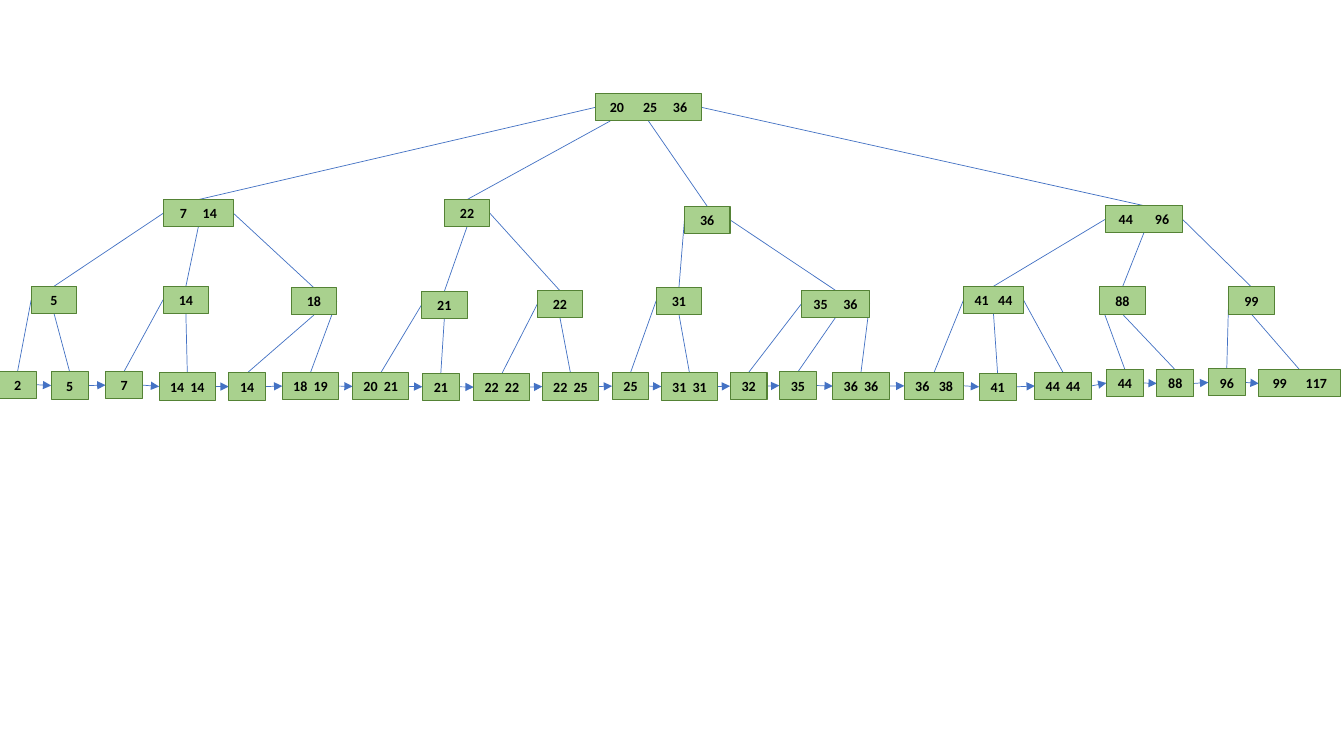
from dataclasses import dataclass
from itertools import pairwise

import lxml.etree
import pptx
import pptx.dml.color
import pptx.enum.shapes
import pptx.enum.text
import pptx.oxml.ns
import pptx.slide
import pptx.util

COLORS = {"node": "A9D18E", "border": "548235", "link": "4472C4", "key": "000000"}
KEY_FONT = {"name": "Calibri", "size": pptx.util.Pt(10), "bold": True}
BOX_HEIGHT = 19.4
SPACE_WIDTH = 2.26

# Widths of the usual boxes, in points
ONE_KEY, TWO_KEYS, INNER = 26.4, 40.2, 32.6

# Places on a box, as fractions of its width and height
TOP, LEFT, BOTTOM, RIGHT = (0.5, 0), (0, 0.5), (0.5, 1), (1, 0.5)
LOWER_LEFT = (0.14, 1)


@dataclass
class Node:
    keys: str
    left: float
    top: float
    width: float = ONE_KEY
    gaps: tuple[float, ...] = (4.5,)  # points between neighbouring keys
    branches: tuple[tuple[tuple[float, float], "Node"], ...] = ()

    def point(self, place: tuple[float, float]) -> tuple[float, float]:
        return self.left + place[0] * self.width, self.top + place[1] * BOX_HEIGHT


# Leaves, from left to right
LEAVES = [
    Node("2", -0.6, 265.1),
    Node("5", 36.6, 265.7),
    Node("7", 75.4, 265.4),
    Node("14 14", 113.7, 266.4, TWO_KEYS),
    Node("14", 163.4, 266.4),
    Node("18 19", 201.7, 266.1, TWO_KEYS),
    Node("20 21", 251.9, 266.3, TWO_KEYS),
    Node("21", 301.7, 266.6),
    Node("22 22", 338.4, 266.8, TWO_KEYS),
    Node("22 25", 387.4, 266.4, TWO_KEYS),
    Node("25", 437.2, 266.1),
    Node("31 31", 472.4, 266.4, TWO_KEYS),
    Node("32", 521.5, 266.1),
    Node("35", 556.7, 265.7),
    Node("36 36", 594.9, 266.1, TWO_KEYS),
    Node("36 38", 646, 265.9, 42.5, (6.8,)),
    Node("41", 699.4, 266.6),
    Node("44 44", 739.2, 266, TWO_KEYS),
    Node("44", 790.3, 263.9),
    Node("88", 826.3, 264.2),
    Node("96", 863.1, 263.5),
    Node("99 117", 899.1, 264.2, 58.6, (13.6,)),
]
next_leaf = iter(LEAVES)


def parent(keys: str, left: float, top: float, sides: tuple, width: float = INNER,
           gap: float = 4.5) -> Node:
    """A node whose branches lead to the next leaves in order."""
    branches = tuple((side, next(next_leaf)) for side in sides)
    return Node(keys, left, top, width, (gap,), branches)


# Lower inner level, grouped under the upper one
UNDER_7_14 = (
    (LEFT, parent("5", 22.3, 204.5, (LEFT, BOTTOM))),
    (BOTTOM, parent("14", 116.5, 204.5, (LEFT, BOTTOM))),
    (RIGHT, parent("18", 208, 205.6, (BOTTOM, RIGHT))),
)
UNDER_22 = (
    (BOTTOM, parent("21", 301.1, 208.1, (LEFT, BOTTOM))),
    (RIGHT, parent("22", 383.7, 207.7, (LEFT, BOTTOM))),
)
UNDER_36 = (
    (LEFT, parent("31", 468.7, 205.2, (LEFT, BOTTOM))),
    (RIGHT, parent("35 36", 572.4, 207.4, (LEFT, BOTTOM, RIGHT), 48.8, 11.3)),
)
UNDER_44_96 = (
    (LEFT, parent("41 44", 688.3, 204.5, (LEFT, BOTTOM, RIGHT), 42.7, 6.8)),
    (BOTTOM, parent("88", 785.5, 205, (LEFT, BOTTOM))),
    (RIGHT, parent("99", 877.6, 205, (LEFT, BOTTOM))),
)

# Root and upper inner level
ROOT = Node("20 25 36", 425.3, 67, 75.8, (13.6, 11.3), (
    (LEFT, Node("7 14", 116.7, 142.6, 50, (11.3,), UNDER_7_14)),
    (LOWER_LEFT, Node("22", 317.3, 142.6, INNER, (), UNDER_22)),
    (BOTTOM, Node("36", 488.9, 147.4, INNER, (), UNDER_36)),
    (RIGHT, Node("44 96", 789.6, 146.9, 55, (15.8,), UNDER_44_96)),
))


def rgb(name: str) -> pptx.dml.color.RGBColor:
    return pptx.dml.color.RGBColor.from_string(COLORS[name])


def draw_link(page: pptx.slide.Slide, start: tuple[float, float],
              end: tuple[float, float], arrow: bool = False) -> None:
    ends = [pptx.util.Pt(value) for value in (*start, *end)]
    link = page.shapes.add_connector(pptx.enum.shapes.MSO_CONNECTOR.STRAIGHT, *ends)
    link.line.color.rgb = rgb("link")
    link.line.width = pptx.util.Pt(0.5)
    properties = link._element.spPr
    if arrow:
        line = properties.find(pptx.oxml.ns.qn("a:ln"))
        lxml.etree.SubElement(line, pptx.oxml.ns.qn("a:tailEnd"), type="triangle")
    lxml.etree.SubElement(properties, pptx.oxml.ns.qn("a:effectLst"))


def draw_box(page: pptx.slide.Slide, node: Node) -> None:
    frame = [pptx.util.Pt(v) for v in (node.left, node.top, node.width, BOX_HEIGHT)]
    box = page.shapes.add_shape(pptx.enum.shapes.MSO_SHAPE.RECTANGLE, *frame)
    box.shadow.inherit = False
    box.fill.solid()
    box.fill.fore_color.rgb = rgb("node")
    box.line.color.rgb = rgb("border")
    box.line.width = pptx.util.Pt(0.75)
    box.text_frame.word_wrap = False
    box.text_frame.vertical_anchor = pptx.enum.text.MSO_ANCHOR.MIDDLE

    # Keys, set apart by one widened space each
    para = box.text_frame.paragraphs[0]
    para.alignment = pptx.enum.text.PP_ALIGN.CENTER
    for index, key in enumerate(node.keys.split()):
        if index:
            widening = round((node.gaps[index - 1] - SPACE_WIDTH) * 100)
            add_span(para, " ")._r.get_or_add_rPr().set("spc", str(widening))
        add_span(para, key)


def add_span(para, text: str):
    span = para.add_run()
    span.text = text
    for name, value in KEY_FONT.items():
        setattr(span.font, name, value)
    span.font.color.rgb = rgb("key")
    return span


def draw_branches(page: pptx.slide.Slide, node: Node) -> None:
    for side, child in node.branches:
        draw_link(page, node.point(side), child.point(TOP))
        draw_branches(page, child)


def draw_boxes(page: pptx.slide.Slide, node: Node) -> None:
    draw_box(page, node)
    for _, child in node.branches:
        draw_boxes(page, child)


def main() -> None:
    deck = pptx.Presentation()
    deck.slide_width, deck.slide_height = pptx.util.Pt(960), pptx.util.Pt(540)
    page = deck.slides.add_slide(deck.slide_layouts[6])

    # Links lie behind the boxes
    draw_branches(page, ROOT)
    for leaf, neighbour in pairwise(LEAVES):
        draw_link(page, leaf.point(RIGHT), neighbour.point(LEFT), arrow=True)
    draw_boxes(page, ROOT)

    deck.save("out.pptx")


if __name__ == "__main__":
    main()
